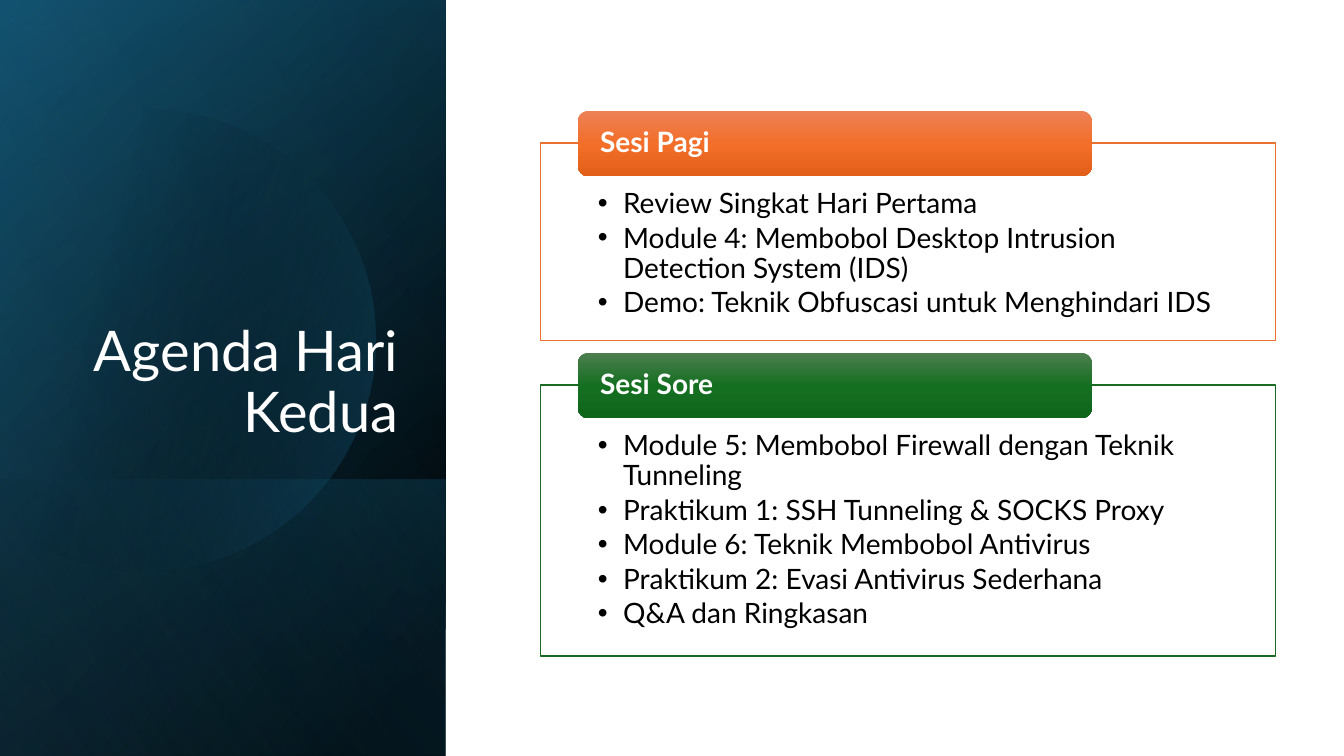
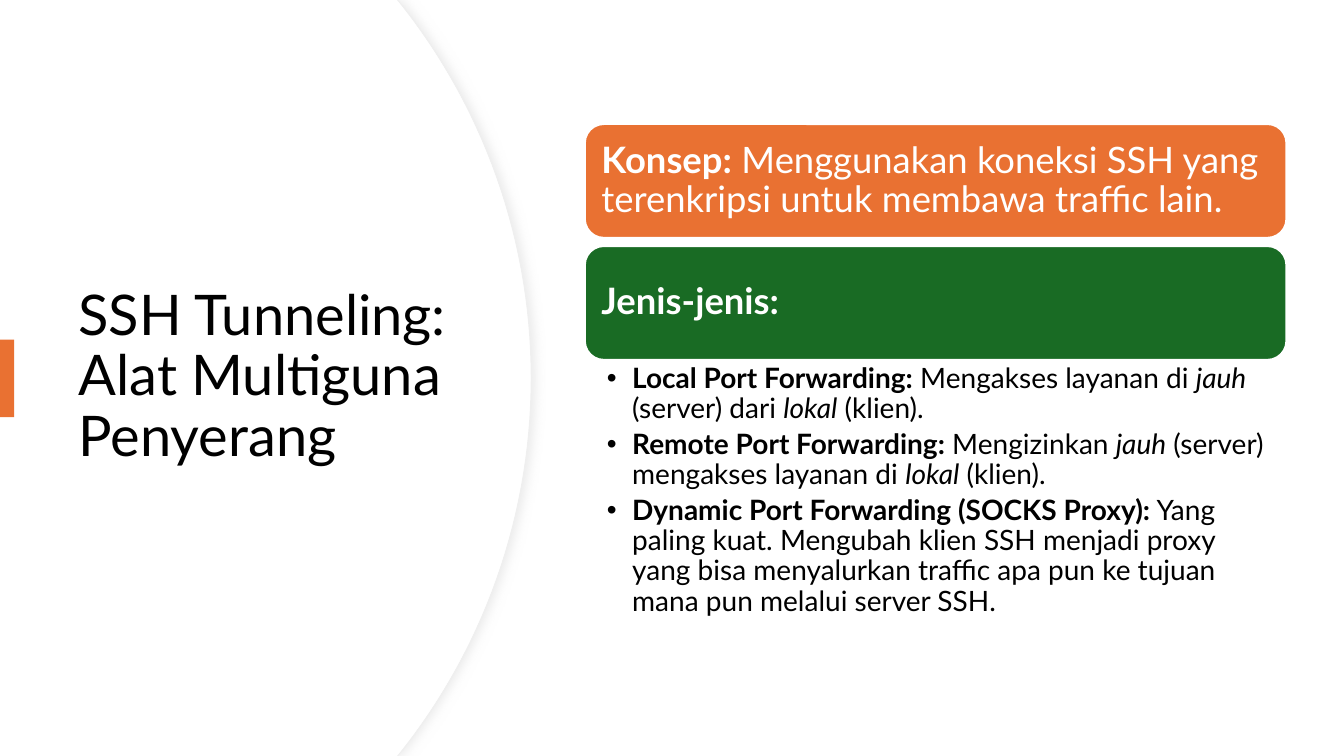
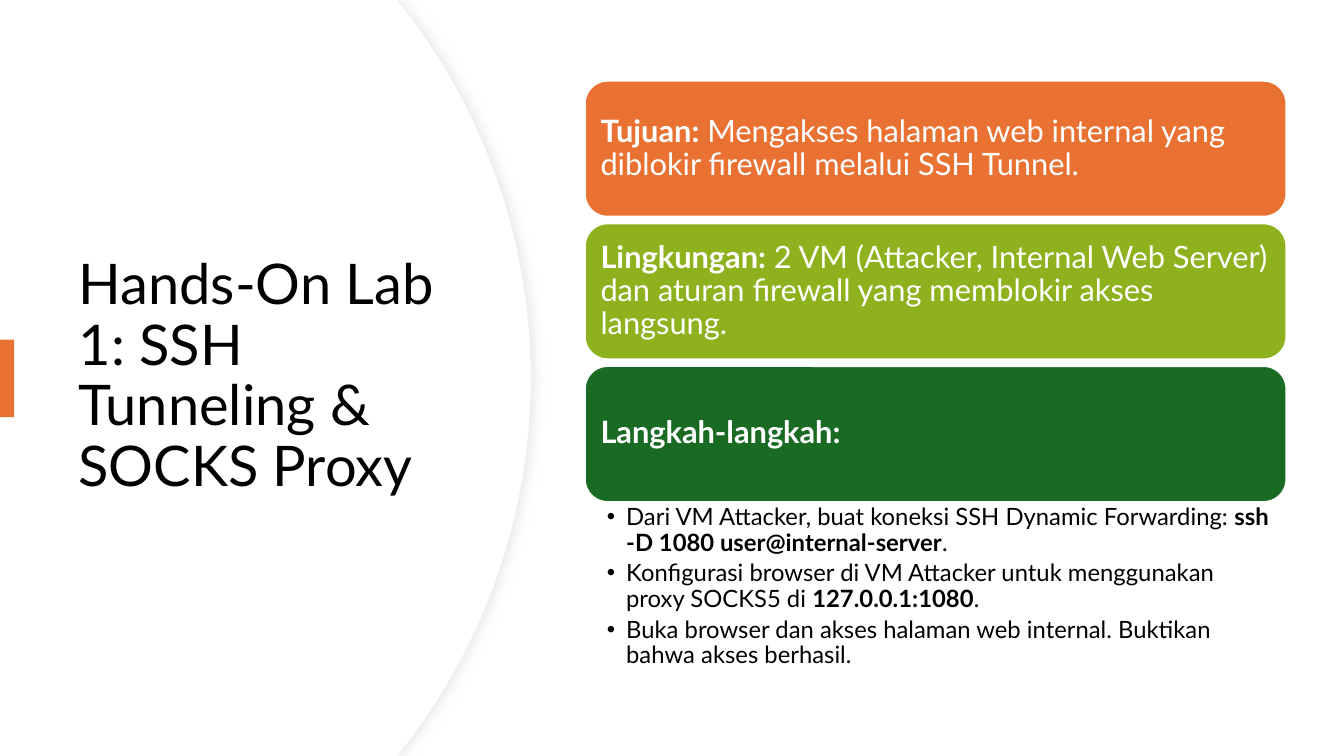
from math import cos, radians, sin

from lxml import etree
from pptx import Presentation
from pptx.dml.color import RGBColor
from pptx.enum.shapes import MSO_SHAPE
from pptx.enum.text import MSO_ANCHOR, MSO_AUTO_SIZE, PP_ALIGN
from pptx.oxml.ns import qn
from pptx.util import Inches, Pt

RECTANGLE, ROUNDED = MSO_SHAPE.RECTANGLE, MSO_SHAPE.ROUNDED_RECTANGLE
TOP, MIDDLE, BOTTOM = MSO_ANCHOR.TOP, MSO_ANCHOR.MIDDLE, MSO_ANCHOR.BOTTOM
LEFT, RIGHT = PP_ALIGN.LEFT, PP_ALIGN.RIGHT
FIXED_SIZE = MSO_AUTO_SIZE.NONE

FONT = "Lato"
WHITE, BLACK = "FFFFFF", "000000"
ORANGE, GREEN, LIME = "E97132", "196B24", "8EB21E"
TEAL, SKY = "156082", "46B1E1"
TITLE_SIZE, LINE_SPACING = 40, 0.9
TITLE_ONLY_LEFT = (5.1, 16.93, 29.55, 66)
CARD_LEFT, CARD_WIDTH = 43.51, 52.21
CONTENT_LAYOUT, TWO_CONTENT_LAYOUT = 1, 3


def color(hex_string):
    return RGBColor.from_string(hex_string)


def add_color(parent, hex_string, opacity):
    node = etree.SubElement(parent, qn("a:srgbClr"), val=hex_string)
    if opacity < 100:
        etree.SubElement(node, qn("a:alpha"), val=str(opacity * 1000))


class Deck:
    """Shared style and the current slide; boxes are percentages of the slide."""

    def __init__(self):
        self.presentation = Presentation()
        self.presentation.slide_width = Inches(13.33)
        self.presentation.slide_height = Inches(7.5)
        self.slide = None

    def new_slide(self, layout):
        layouts = self.presentation.slide_layouts
        self.slide = self.presentation.slides.add_slide(layouts[layout])

    def x(self, share):
        return round(self.presentation.slide_width * share / 100)

    def y(self, share):
        return round(self.presentation.slide_height * share / 100)

    def box(self, left, top, width, height):
        return self.x(left), self.y(top), self.x(width), self.y(height)

    # Fill and outline
    def gradient(self, shape, angle, stops):
        shape.fill.background()
        properties = shape.element.spPr
        fill = etree.Element(qn("a:gradFill"), rotWithShape="1")
        stop_list = etree.SubElement(fill, qn("a:gsLst"))
        for position, hex_string, opacity in stops:
            stop = etree.SubElement(stop_list, qn("a:gs"), pos=str(position * 1000))
            add_color(stop, hex_string, opacity)
        etree.SubElement(fill, qn("a:lin"), ang=str(angle * 60000), scaled="0")
        properties.replace(properties.find(qn("a:noFill")), fill)

    def paint(self, shape, fill, line=None, line_width=1.0):
        shape.shadow.inherit = False
        if isinstance(fill, str):
            shape.fill.solid()
            shape.fill.fore_color.rgb = color(fill)
        else:
            self.gradient(shape, *fill)
        if line:
            shape.line.color.rgb = color(line)
            shape.line.width = Pt(line_width)
        else:
            shape.line.fill.background()

    # Basic shapes
    def block(self, kind, box, fill, line=None, line_width=1.0):
        shape = self.slide.shapes.add_shape(kind, *self.box(*box))
        self.paint(shape, fill, line, line_width)
        return shape

    def disc(self, right, middle, radius, half_angle, fill, line=None):
        """Circle cut off at the slide's left edge; radius is a share of the height."""
        size = self.y(radius)
        center_x, center_y = self.x(right) - size, self.y(middle)
        steps = 60
        angles = [radians(half_angle * (2 * i / steps - 1)) for i in range(steps + 1)]
        arc = [(center_x + size * cos(a), center_y + size * sin(a)) for a in angles]
        builder = self.slide.shapes.build_freeform(0, arc[0][1])
        builder.add_line_segments(arc + [(0, arc[-1][1])], close=True)
        shape = builder.convert_to_shape()
        self.paint(shape, fill, line, 0.75)
        return shape

    def soft_shadow(self, shape):
        effects = shape.element.spPr.find(qn("a:effectLst"))
        shadow = etree.SubElement(effects, qn("a:outerShdw"), blurRad=str(Pt(7)),
                                  dist=str(Pt(3)), dir="0", algn="l", rotWithShape="0")
        add_color(shadow, "D9D9D9", 50)

    # Text
    def frame(self, shape, anchor, insets=None):
        frame = shape.text_frame
        frame.word_wrap = True
        frame.auto_size = FIXED_SIZE
        frame.vertical_anchor = anchor
        if insets:
            (frame.margin_left, frame.margin_top,
             frame.margin_right, frame.margin_bottom) = map(Inches, insets)
        return frame

    def set_text(self, paragraph, text, size, text_color, align=LEFT):
        """Text between * is bold, text between _ is italic."""
        paragraph.alignment = align
        paragraph.line_spacing = LINE_SPACING
        paragraph.space_before = Pt(0)
        paragraph.font.name = FONT
        paragraph.font.size = Pt(size)
        paragraph.font.color.rgb = color(text_color)
        for i, strong in enumerate(text.split("*")):
            for j, part in enumerate(strong.split("_")):
                if part:
                    run = paragraph.add_run()
                    run.text = part
                    if i % 2:
                        run.font.bold = True
                    if j % 2:
                        run.font.italic = True

    def place(self, placeholder, box):
        (placeholder.left, placeholder.top,
         placeholder.width, placeholder.height) = self.box(*box)
        self.slide.shapes.element.append(placeholder.element)

    def title(self, text, box, text_color=BLACK, anchor=MIDDLE, align=LEFT):
        title = self.slide.shapes.title
        self.place(title, box)
        paragraph = self.frame(title, anchor).paragraphs[0]
        self.set_text(paragraph, text, TITLE_SIZE, text_color, align)

    def bullets(self, index, items, box, size, insets, indent, space_after):
        body = self.slide.placeholders[index]
        self.place(body, box)
        frame = self.frame(body, TOP, insets)
        for number, item in enumerate(items):
            paragraph = frame.add_paragraph() if number else frame.paragraphs[0]
            properties = paragraph._p.get_or_add_pPr()
            properties.set("marL", str(Inches(indent)))
            properties.set("indent", str(-Inches(indent)))
            etree.SubElement(properties, qn("a:buFont"), typeface="Arial")
            etree.SubElement(properties, qn("a:buChar"), char="•")
            self.set_text(paragraph, item, size, BLACK)
            paragraph.space_after = Pt(space_after)
        return body

    def label(self, shape, text, size, insets):
        paragraph = self.frame(shape, MIDDLE, insets).paragraphs[0]
        self.set_text(paragraph, text, size, WHITE)

    # Slide parts
    def dark_panel(self):
        width, band_top = 33.16, 63.47
        full = (0, 0, width, 100)
        layers = [
            (full, 220, [(8, BLACK, 100), (100, "104862", 100)]),
            (full, 240, [(0, BLACK, 0), (99, TEAL, 46)]),
            ((0, band_top, width, 100 - band_top), 140, [(2, TEAL, 29), (100, BLACK, 30)]),
        ]
        for box, angle, stops in layers:
            self.block(RECTANGLE, box, (angle, stops))
        self.disc(27.91, 44.93, 30.53, 128.65, (14, [(29, BLACK, 0), (100, TEAL, 43)]))
        self.block(RECTANGLE, full, (150, [(0, BLACK, 0), (99, SKY, 11)]))

    def session(self, index, name, items, top, height, line, shades):
        body = self.bullets(index, items, (40.21, top, 54.69, height), 20,
                            (0.57, 0.46, 0.57, 0.16), 0.25, 3)
        self.paint(body, WHITE, line)
        stops = [(position, shade, 100) for position, shade in zip((0, 50, 100), shades)]
        header = self.block(ROUNDED, (42.99, top - 4.27, 38.26, 8.67), (90, stops))
        self.label(header, f"*{name}*", 20, (0.19, 0, 0.19, 0))

    def topic_slide(self, title, cards, top, height, gap, card_size, inset,
                    list_height, **list_style):
        self.new_slide(CONTENT_LAYOUT)
        self.soft_shadow(self.disc(39.53, 50, 79.6, 38.9, WHITE, "EFEFEF"))
        self.disc(39.46, 50, 79.6, 38.9, WHITE)
        self.title(title, TITLE_ONLY_LEFT)
        self.block(RECTANGLE, (0, 44.93, 1.05, 10.27), ORANGE)
        for row, (fill, text) in enumerate(cards):
            card_top = top + row * (height + gap)
            card = self.block(ROUNDED, (CARD_LEFT, card_top, CARD_WIDTH, height),
                              fill, WHITE, 1.5)
            self.label(card, text, card_size, (inset,) * 4)
        list_box = (CARD_LEFT, card_top + height, CARD_WIDTH, list_height)
        self.bullets(1, box=list_box, **list_style)


def main():
    deck = Deck()

    # Agenda
    deck.new_slide(TWO_CONTENT_LAYOUT)
    deck.dark_panel()
    deck.title("Agenda Hari Kedua", (4.8, 24.53, 25.58, 34.93), WHITE, BOTTOM, RIGHT)
    sessions = [
        ("Sesi Pagi", 26.13, ORANGE, ("ED8257", "F26E29", "E25F1A"), [
            "Review Singkat Hari Pertama",
            "Module 4: Membobol Desktop Intrusion Detection System (IDS)",
            "Demo: Teknik Obfuscasi untuk Menghindari IDS",
        ]),
        ("Sesi Sore", 35.87, GREEN, ("4D7E50", "156F21", "0F661B"), [
            "Module 5: Membobol Firewall dengan Teknik Tunneling",
            "Praktikum 1: SSH Tunneling & SOCKS Proxy",
            "Module 6: Teknik Membobol Antivirus",
            "Praktikum 2: Evasi Antivirus Sederhana",
            "Q&A dan Ringkasan",
        ]),
    ]
    top = 18.93
    for index, (name, height, line, shades, items) in enumerate(sessions, start=1):
        deck.session(index, name, items, top, height, line, shades)
        top += height + 5.87

    # SSH tunneling
    deck.topic_slide(
        "SSH Tunneling: Alat Multiguna Penyerang",
        [(ORANGE, "*Konsep:* Menggunakan koneksi SSH yang terenkripsi "
                  "untuk membawa traffic lain."),
         (GREEN, "*Jenis-jenis:*")],
        top=16.4, height=15.07, gap=1.07, card_size=26, inset=0.11,
        items=[
            "*Local Port Forwarding:* Mengakses layanan di _jauh_ (server) "
            "dari _lokal_ (klien).",
            "*Remote Port Forwarding:* Mengizinkan _jauh_ (server) mengakses "
            "layanan di _lokal_ (klien).",
            "*Dynamic Port Forwarding (SOCKS Proxy):* Yang paling kuat. Mengubah "
            "klien SSH menjadi proxy yang bisa menyalurkan traffic apa pun ke "
            "tujuan mana pun melalui server SSH.",
        ],
        list_height=36.13, size=20, insets=(0.22, 0.04, 0.2, 0.04),
        indent=0.25, space_after=4)

    # Hands-on lab
    deck.topic_slide(
        "Hands-On Lab 1: SSH Tunneling & SOCKS Proxy",
        [(ORANGE, "*Tujuan:* Mengakses halaman web internal yang diblokir "
                  "firewall melalui SSH Tunnel."),
         (LIME, "*Lingkungan:* 2 VM (Attacker, Internal Web Server) dan aturan "
                "firewall yang memblokir akses langsung."),
         (GREEN, "*Langkah-langkah:*")],
        top=10.67, height=18, gap=0.87, card_size=22, inset=0.09,
        items=[
            "Dari VM Attacker, buat koneksi SSH Dynamic Forwarding: "
            "*ssh -D 1080 user@internal-server*.",
            "Konfigurasi browser di VM Attacker untuk menggunakan proxy SOCKS5 "
            "di *127.0.0.1:1080*.",
            "Buka browser dan akses halaman web internal. Buktikan bahwa akses berhasil.",
        ],
        list_height=23.2, size=17, insets=(0.22, 0.03, 0.17, 0.03),
        indent=0.19, space_after=3.4)

    deck.presentation.save("out.pptx")


if __name__ == "__main__":
    main()
